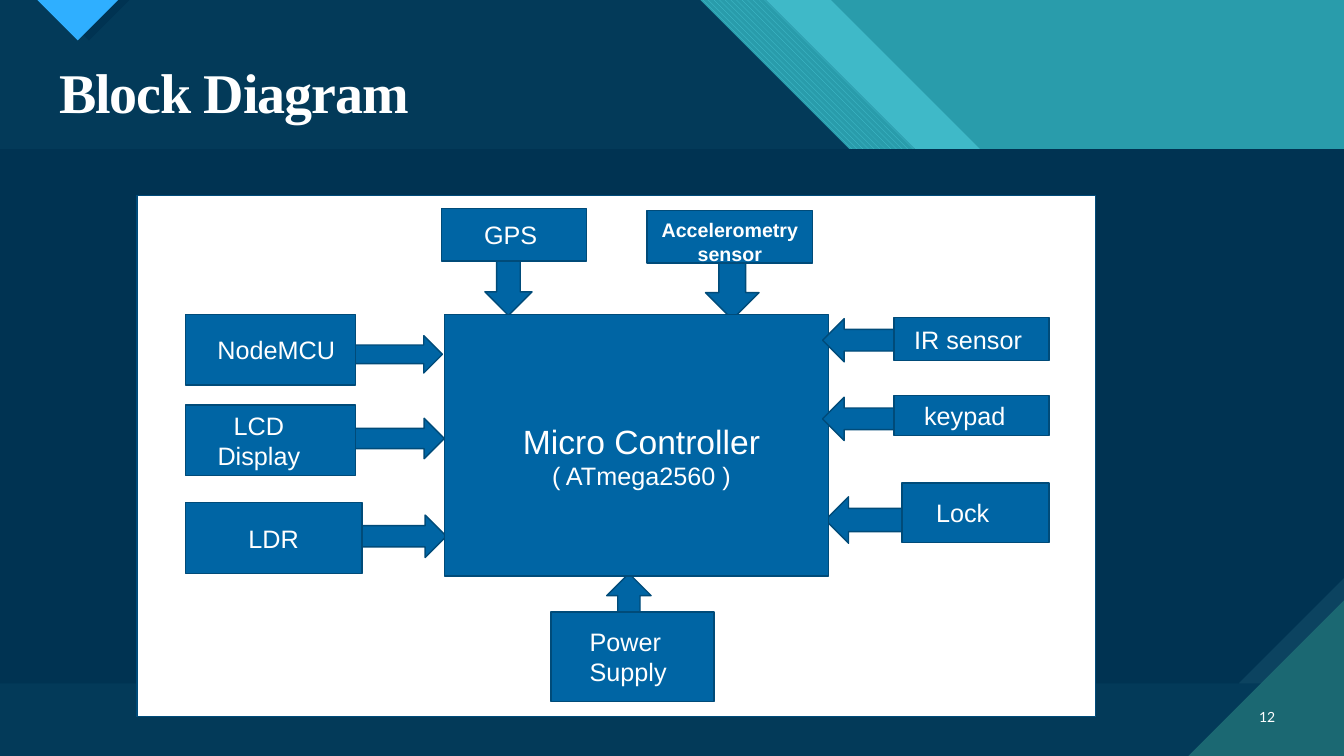
from dataclasses import dataclass

from pptx import Presentation
from pptx.dml.color import RGBColor
from pptx.enum.dml import MSO_PATTERN
from pptx.enum.shapes import MSO_SHAPE
from pptx.enum.text import MSO_ANCHOR, PP_ALIGN
from pptx.util import Cm, Pt

RECTANGLE = MSO_SHAPE.RECTANGLE
RIGHT, LEFT = MSO_SHAPE.RIGHT_ARROW, MSO_SHAPE.LEFT_ARROW
DOWN, UP = MSO_SHAPE.DOWN_ARROW, MSO_SHAPE.UP_ARROW
STRIPES = MSO_PATTERN.WIDE_DOWNWARD_DIAGONAL
MIDDLE = MSO_ANCHOR.MIDDLE
ALIGN_LEFT, ALIGN_CENTER = PP_ALIGN.LEFT, PP_ALIGN.CENTER
ALIGN_RIGHT, ALIGN_JUSTIFY = PP_ALIGN.RIGHT, PP_ALIGN.JUSTIFY

WIDTH, HEIGHT = 33.87, 19.05
HEADER_BOTTOM, FOOTER_TOP = 3.76, 17.22
INSET = 0.25


@dataclass(frozen=True)
class Theme:
    band: str = "033A59"
    deep: str = "003352"
    edge: str = "0C4360"
    teal: str = "299CAB"
    aqua: str = "3FB9C8"
    stripe: str = "47C3D3"
    corner: str = "1B6872"
    tip: str = "2FAFFF"
    block: str = "0065A4"
    outline: str = "004B79"
    white: str = "FFFFFF"
    title_font: str = "Times New Roman"
    label_font: str = "Arial"
    number_font: str = "Lato"
    title_size: int = 40
    heading_size: int = 24
    label_size: int = 18
    small_size: int = 14
    number_size: int = 10


class BlockDiagramSlide:
    """Draws styled elements on one slide, with lengths in centimetres."""

    def __init__(self, slide, theme):
        self.slide = slide
        self.theme = theme
        background = slide.background.fill
        background.solid()
        background.fore_color.rgb = RGBColor.from_string(theme.band)

    def polygon(self, points, color, stripe=None):
        corners = [(Cm(x), Cm(y)) for x, y in points]
        builder = self.slide.shapes.build_freeform(*corners[0])
        builder.add_line_segments(corners[1:], close=True)
        shape = builder.convert_to_shape()
        shape.shadow.inherit = False
        shape.line.fill.background()
        if stripe:
            shape.fill.patterned()
            shape.fill.pattern = STRIPES
            shape.fill.fore_color.rgb = RGBColor.from_string(stripe)
            shape.fill.back_color.rgb = RGBColor.from_string(color)
        else:
            shape.fill.solid()
            shape.fill.fore_color.rgb = RGBColor.from_string(color)

    def block(self, kind, bounds, color=None):
        shape = self.slide.shapes.add_shape(kind, *map(Cm, bounds))
        shape.shadow.inherit = False
        shape.fill.solid()
        shape.fill.fore_color.rgb = RGBColor.from_string(color or self.theme.block)
        shape.line.color.rgb = RGBColor.from_string(self.theme.outline)
        shape.line.width = Pt(1)
        return shape

    def set_text(self, shape, text, sizes, font=None, bold=False,
                 align=ALIGN_CENTER, margins=(INSET, 0, INSET, 0)):
        frame = shape.text_frame
        frame.word_wrap = True
        frame.vertical_anchor = MIDDLE
        (frame.margin_left, frame.margin_top,
         frame.margin_right, frame.margin_bottom) = map(Cm, margins)
        frame.text = text
        for paragraph, size in zip(frame.paragraphs, sizes):
            paragraph.alignment = align
            for run in paragraph.runs:
                run.font.name = font or self.theme.label_font
                run.font.size = Pt(size)
                run.font.bold = bold
                run.font.color.rgb = RGBColor.from_string(self.theme.white)
        return frame

    def label(self, text, bounds, sizes, **style):
        self.set_text(self.block(RECTANGLE, bounds), text, sizes, **style)

    def text(self, text, bounds, size, **style):
        box = self.slide.shapes.add_textbox(*map(Cm, bounds))
        return self.set_text(box, text, [size], **style)

    def title(self, text, bounds):
        frame = self.text(text, bounds, self.theme.title_size, bold=True,
                          font=self.theme.title_font, align=ALIGN_JUSTIFY)
        paragraph = frame.paragraphs[0]
        paragraph.line_spacing = 0.9
        paragraph.runs[0]._r.get_or_add_rPr().set("spc", "-70")


def draw_backdrop(page):
    theme = page.theme
    bands = [(17.65, 19.3, theme.teal, theme.stripe),
             (19.3, 20.95, theme.aqua, None)]
    for start, end, color, stripe in bands:
        page.polygon([(start, 0), (end, 0), (end + HEADER_BOTTOM, HEADER_BOTTOM),
                      (start + HEADER_BOTTOM, HEADER_BOTTOM)], color, stripe)
    page.polygon([(20.95, 0), (WIDTH, 0), (WIDTH, HEADER_BOTTOM),
                  (20.95 + HEADER_BOTTOM, HEADER_BOTTOM)], theme.teal)
    for left, color in [(1.22, theme.deep), (0.94, theme.tip)]:
        page.polygon([(left, 0), (left + 2.04, 0), (left + 1.02, 1.02)], color)
    snip = 2.65
    page.polygon([(0, HEADER_BOTTOM), (WIDTH, HEADER_BOTTOM),
                  (WIDTH, FOOTER_TOP - snip), (WIDTH - snip, FOOTER_TOP),
                  (0, FOOTER_TOP)], theme.deep)
    for bottom, side, color in [(FOOTER_TOP, snip, theme.edge),
                                (HEIGHT, 3.92, theme.corner)]:
        page.polygon([(WIDTH - side, bottom), (WIDTH, bottom - side),
                      (WIDTH, bottom)], color)


def draw_diagram(page):
    theme = page.theme
    page.block(RECTANGLE, (3.45, 4.93, 24.16, 13.13), theme.white)
    arrows_below = [
        (RIGHT, (8.71, 12.98, 2.54, 1.07)),
        (RIGHT, (8.28, 10.54, 2.92, 1.02)),
        (RIGHT, (8.76, 8.46, 2.39, 0.94)),
        (DOWN, (17.78, 5.33, 1.35, 2.72)),
        (DOWN, (12.22, 5.41, 1.19, 2.54)),
        (UP, (15.29, 14.45, 1.12, 1.9)),
        (LEFT, (20.8, 12.52, 3.05, 1.17)),
    ]
    arrows_above = [
        (LEFT, (20.73, 8.03, 2.01, 1.09)),
        (LEFT, (20.73, 10.01, 2.18, 1.09)),
    ]
    for kind, bounds in arrows_below:
        page.block(kind, bounds)
    page.label("Micro Controller\n( ATmega2560 )", (11.2, 7.92, 9.68, 6.6),
               [theme.heading_size, theme.label_size],
               margins=(INSET, 0.53, 0, 0))
    for kind, bounds in arrows_above:
        page.block(kind, bounds)
    indented_labels = [
        ("GPS", (11.13, 5.26, 3.66, 1.32), 1.07),
        ("NodeMCU", (4.67, 7.92, 4.29, 1.78), 0.81),
        ("IR sensor", (22.53, 8, 3.91, 1.09), 0.51),
        ("keypad", (22.53, 9.96, 3.91, 1.02), 0.76),
        ("Lock", (22.73, 12.17, 3.71, 1.5), 0.86),
        ("Power Supply", (13.89, 15.42, 4.11, 2.26), 0.97),
    ]
    for text, bounds, indent in indented_labels:
        page.label(text, bounds, [theme.label_size], align=ALIGN_LEFT,
                   margins=(indent, 0, 0, 0))
    page.label("Accelerometry sensor", (16.31, 5.31, 4.17, 1.32),
               [theme.small_size], bold=True, margins=(INSET, 0.23, INSET, 0))
    page.label("LCD\nDisplay", (4.67, 10.21, 4.29, 1.78),
               [theme.label_size] * 2, margins=(0, 0, 0.58, 0))
    page.label("LDR", (4.67, 12.67, 4.45, 1.78), [theme.label_size])


def main():
    presentation = Presentation()
    presentation.slide_width = Cm(WIDTH)
    presentation.slide_height = Cm(HEIGHT)
    slide = presentation.slides.add_slide(presentation.slide_layouts[6])
    theme = Theme()
    page = BlockDiagramSlide(slide, theme)
    draw_backdrop(page)
    page.title("Block Diagram", (1.24, 1.5, 31.14, 1.8))
    draw_diagram(page)
    page.text("12", (31.27, 17.55, 1.12, 1.02), theme.number_size,
              font=theme.number_font, align=ALIGN_RIGHT)
    presentation.save("out.pptx")


if __name__ == "__main__":
    main()
